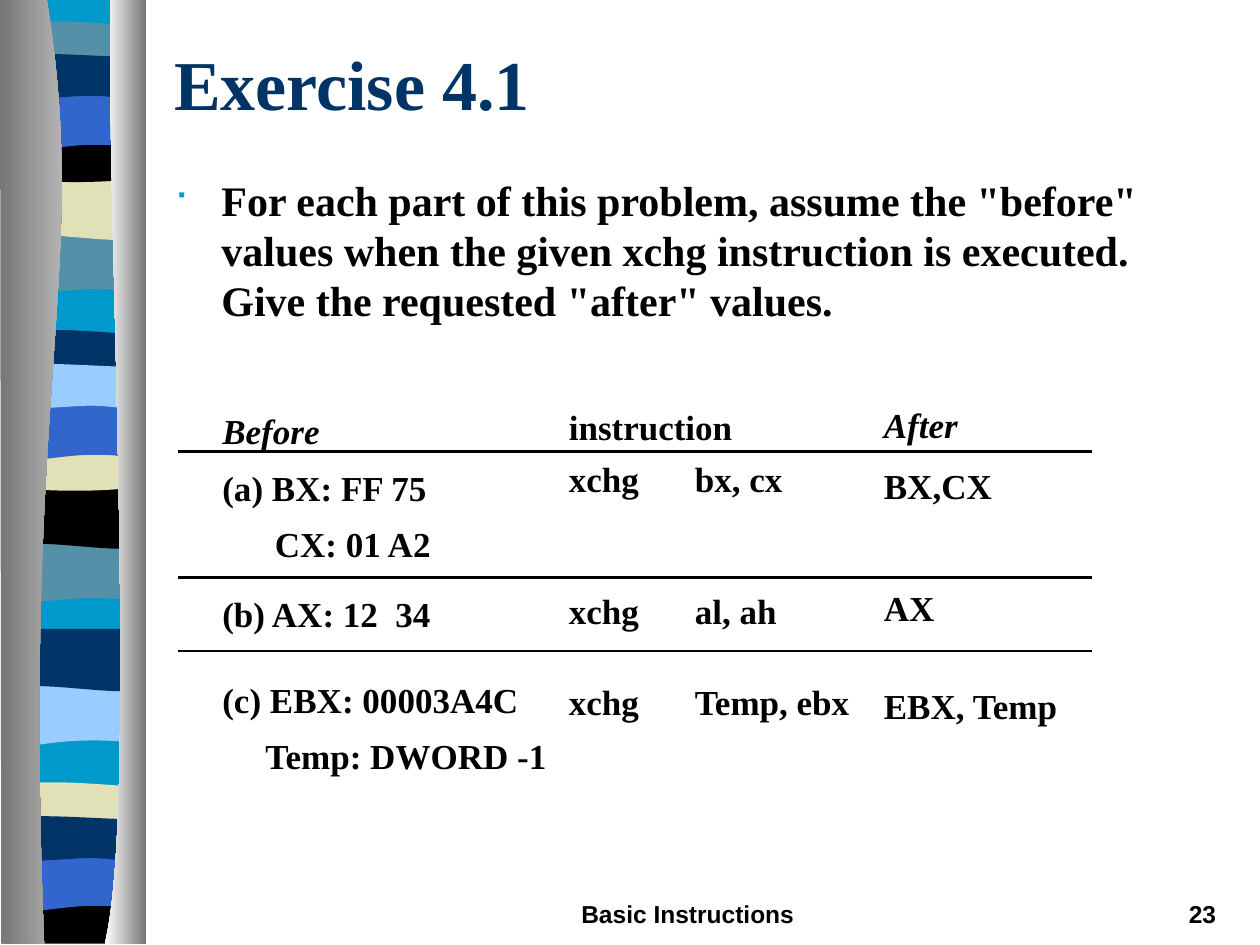
from lxml.etree import SubElement
from pptx import Presentation
from pptx.dml.color import RGBColor
from pptx.enum.shapes import MSO_CONNECTOR as Connector, MSO_SHAPE as Preset
from pptx.enum.text import MSO_ANCHOR as Anchor, PP_ALIGN as Align
from pptx.oxml.ns import qn
from pptx.util import Inches, Pt

SLIDE_WIDTH, SLIDE_HEIGHT = Inches(10), Inches(7.5)
CELL = SLIDE_WIDTH / 120
FINE = SLIDE_HEIGHT / 750

BLACK = RGBColor(0x00, 0x00, 0x00)
WHITE = RGBColor(0xFF, 0xFF, 0xFF)
GREY = RGBColor(0x76, 0x76, 0x76)
PALE_GREY = RGBColor(0xD0, 0xD0, 0xD0)
CYAN = RGBColor(0x00, 0x99, 0xCC)
SLATE = RGBColor(0x54, 0x90, 0xA8)
SAND = RGBColor(0xE1, 0xE1, 0xB7)
BLUE = RGBColor(0x33, 0x66, 0xCC)
NAVY = RGBColor(0x00, 0x33, 0x66)
SKY = RGBColor(0x99, 0xCC, 0xFF)

SERIF, SANS = "Times New Roman", "Arial"
TITLE = {"name": SERIF, "size": Pt(40), "bold": True}
BODY = {"name": SERIF, "size": Pt(24), "bold": True}
ENTRY = {"name": SERIF, "size": Pt(20), "bold": True}
HEADING = {**ENTRY, "italic": True}
FOOTER = {"name": SANS, "size": Pt(14), "bold": True}

WAVE = [(109, 0), (109, 47), (34, 39, 19, 55, 0, 47), (0, 0)]
SWELL = [(109, 0), (109, 47), (91, 55, 34, 41, 0, 47), (0, 0)]
RIBBON = [(109, 5), (109, 29), (91, 33, 19, 33, 0, 29), (0, 5),
          (7, 0, 24, 1, 42, 1), (60, 1, 95, 4, 109, 5)]
BOWL = [(109, 0), (109, 32), (91, 38, 18, 38, 0, 32), (0, 0),
        (67, 5, 86, 0, 109, 0)]
ARCH = [(109, 0), (109, 47), (92, 41, 85, 41, 67, 41),
        (49, 41, 17, 47, 0, 47), (0, 0)]
FLAG = [(109, 5), (109, 36), (102, 41, 86, 36, 67, 36),
        (49, 36, 12, 41, 0, 36), (0, 5), (16, 0, 74, 5, 93, 5),
        (111, 5, 106, 5, 109, 5)]
FOOT = [(109, 0), (109, 37), (0, 37), (0, 0), (67, 5, 86, 0, 109, 0)]
BACKDROP = [(109, 0), (109, 748), (0, 748), (0, 0)]
LEFT_POST = [(37, -1), (72, 216, 17, 296, 35, 749), (1, 749), (0, -1)]
RIGHT_POST = [(88, -1), (83, 125, 111, 646, 83, 749), (116, 749), (116, 0)]

BANDS = [
    (BACKDROP, -1, CYAN),
    (WAVE, 185, SLATE), (SWELL, 141, SAND), (RIBBON, 16, SLATE),
    (BOWL, 108, BLACK), (ARCH, 74, BLUE), (FLAG, 40, NAVY),
    (WAVE, 430, SLATE), (SWELL, 386, BLACK), (RIBBON, 261, NAVY),
    (BOWL, 353, SAND), (ARCH, 320, BLUE), (FLAG, 286, SKY),
    (WAVE, 543, SKY), (SWELL, 499, NAVY), (RIBBON, 620, SAND),
    (FOOT, 712, BLACK), (ARCH, 678, BLUE), (FLAG, 645, NAVY),
]

BEFORE = [
    ("Before", HEADING, 1.35, 5, 0),
    ("(a) BX: FF 75", ENTRY, 1.35, 5, 0),
    ("CX: 01 A2", ENTRY, 1.35, 10, 0),
    ("(b) AX: 12  34", ENTRY, 1.65, 5, 0),
    ("(c) EBX: 00003A4C", ENTRY, 2.05, 5, 0),
    ("Temp: DWORD -1", ENTRY, 1.35, 9.1, 0),
]
INSTRUCTION = [
    ("instruction", ENTRY, 1.25, 0, 0),
    ("xchg\tbx, cx", ENTRY, 1.25, 0, 0),
    ("xchg\tal, ah", ENTRY, 1.55, 0, 38.4),
    ("xchg\tTemp, ebx", ENTRY, 2.15, 0, 0),
]
AFTER = [
    ("After", HEADING, 1.45, 0, 0),
    ("BX,CX", ENTRY, 1.45, 0, 0),
    ("AX", ENTRY, 1.45, 0, 35),
    ("EBX, Temp", ENTRY, 2.35, 0, 0),
]


def grid(*cells):
    return [round(cell * CELL) for cell in cells]


def bend(shape, outline):
    segments = iter(list(shape._element.iter(qn("a:lnTo"))))
    for step in outline[1:]:
        first = next(segments)
        if len(step) == 6:
            first.tag = qn("a:cubicBezTo")
            for _ in range(2):
                extra = next(segments)
                first.append(extra[0])
                extra.getparent().remove(extra)


def add_outline(page, outline, left, top):
    points = [((left + x) * FINE, (top + y) * FINE)
              for step in outline for x, y in zip(step[::2], step[1::2])]
    builder = page.shapes.build_freeform(*points[0])
    builder.add_line_segments(points[1:], close=True)
    shape = builder.convert_to_shape()
    bend(shape, outline)
    shape.shadow.inherit = False
    shape.line.fill.background()
    return shape


def add_band(page, outline, top, color):
    fill = add_outline(page, outline, 5, top).fill
    fill.solid()
    fill.fore_color.rgb = color


def add_post(page, outline, colors):
    fill = add_outline(page, outline, 0, 0).fill
    fill.gradient()
    fill.gradient_angle = 0
    for stop, color in zip(fill.gradient_stops, colors):
        stop.color.rgb = color


def set_frame(box, anchor=Anchor.TOP):
    box.text_frame.word_wrap = True
    box.text_frame.vertical_anchor = anchor
    return box.text_frame


def add_box(page, cells, anchor=Anchor.TOP):
    return set_frame(page.shapes.add_textbox(*grid(*cells)), anchor)


def add_panel(page, cells):
    panel = page.shapes.add_shape(Preset.RECTANGLE, *grid(*cells))
    panel.shadow.inherit = False
    panel.fill.solid()
    panel.fill.fore_color.rgb = WHITE
    panel.line.fill.background()
    return set_frame(panel)


def write(para, text, style, color=BLACK, align=Align.LEFT):
    para.alignment = align
    span = para.add_run()
    span.text = text
    for name, value in style.items():
        setattr(span.font, name, value)
    span.font.color.rgb = color


def add_bullet(para, color):
    settings = para._p.get_or_add_pPr()
    hang, = grid(4.5)
    settings.set("marL", str(hang))
    settings.set("indent", str(-hang))
    tint = SubElement(settings, qn("a:buClr"))
    SubElement(tint, qn("a:srgbClr"), val=str(color))
    SubElement(settings, qn("a:buSzPct"), val="80000")
    SubElement(settings, qn("a:buFont"), typeface="Wingdings", charset="2")
    SubElement(settings, qn("a:buChar"), char="■")


def fill_column(frame, entries):
    for index, (text, style, spacing, indent, gap) in enumerate(entries):
        para = frame.add_paragraph() if index else frame.paragraphs[0]
        settings = para._p.get_or_add_pPr()
        settings.set("marL", str(grid(indent)[0]))
        settings.set("indent", "0")
        if "\t" in text:
            tabs = SubElement(settings, qn("a:tabLst"))
            SubElement(tabs, qn("a:tab"), pos=str(grid(11.6)[0]), algn="l")
        para.line_spacing = spacing
        if gap:
            para.space_before = Pt(gap)
        write(para, text, style)


def add_rule(page, row, weight):
    rule = page.shapes.add_connector(Connector.STRAIGHT, *grid(17, row, 104, row))
    rule.line.color.rgb = BLACK
    rule.line.width = Pt(weight)
    SubElement(rule._element.spPr, qn("a:effectLst"))


def main():
    deck = Presentation()
    deck.slide_width, deck.slide_height = SLIDE_WIDTH, SLIDE_HEIGHT
    page = deck.slides.add_slide(deck.slide_layouts[6])

    for outline, top, color in BANDS:
        add_band(page, outline, top, color)
    add_post(page, LEFT_POST, (GREY, PALE_GREY))
    add_post(page, RIGHT_POST, (WHITE, GREY))

    footer = add_box(page, (43, 85, 45, 3))
    write(footer.paragraphs[0], "Basic Instructions", FOOTER, align=Align.CENTER)
    number = add_box(page, (92, 85, 25, 3))
    write(number.paragraphs[0], "23", FOOTER, align=Align.RIGHT)

    title = add_box(page, (15.4, 2.9, 102, 10), Anchor.MIDDLE)
    write(title.paragraphs[0], "Exercise 4.1", TITLE, NAVY)
    task = add_box(page, (15.4, 16, 95.6, 17)).paragraphs[0]
    add_bullet(task, CYAN)
    write(task, 'For each part of this problem, assume the "before" values when the given '
          'xchg instruction is executed. Give the requested "after" values.', BODY)

    fill_column(add_panel(page, (15, 37, 53, 46)), BEFORE)
    fill_column(add_box(page, (53, 37, 41, 40)), INSTRUCTION)
    fill_column(add_box(page, (83, 36, 32, 45)), AFTER)
    for row, weight in ((43, 2.25), (55, 1.5), (62, 1.5)):
        add_rule(page, row, weight)

    deck.save("out.pptx")


if __name__ == "__main__":
    main()
